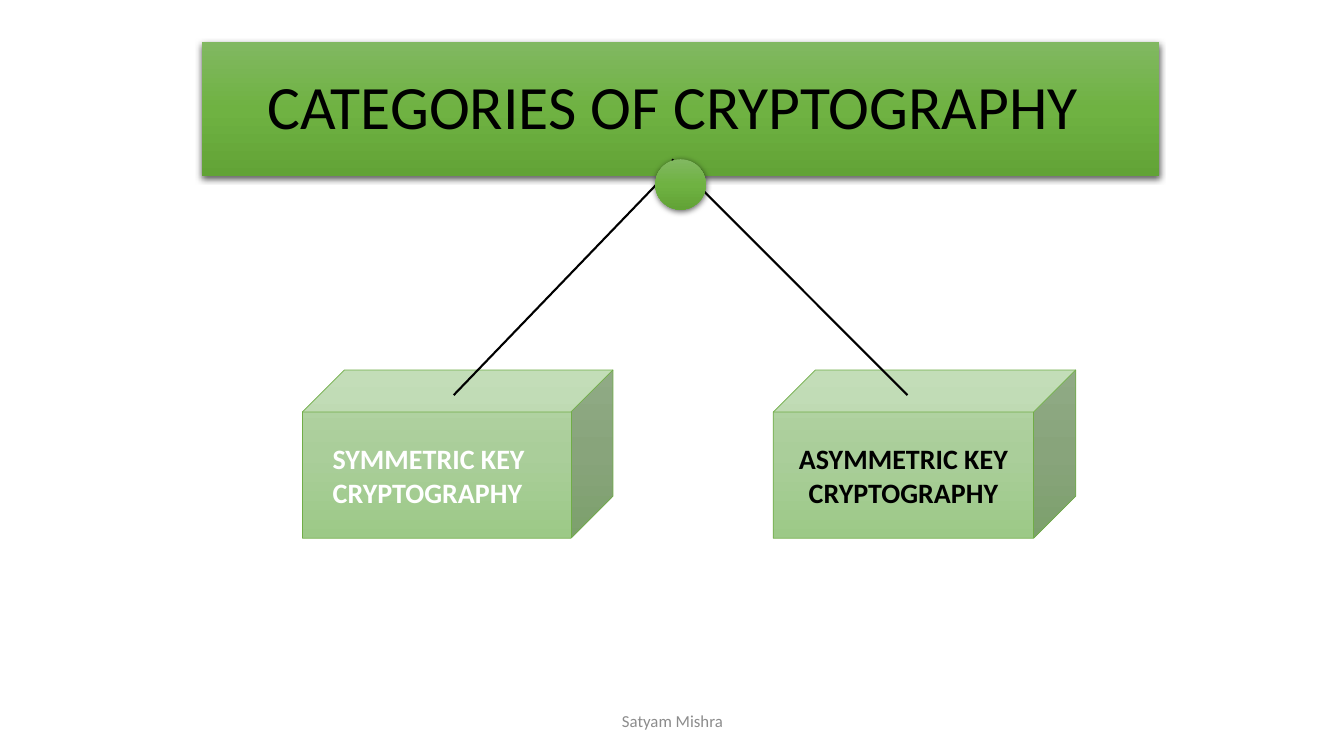
from copy import deepcopy
from lxml import etree
from pptx import Presentation
from pptx import util as u
from pptx.dml.color import RGBColor
from pptx.enum import shapes, text
from pptx.oxml import ns

WIDE, HIGH = 13.33, 7.5
BLACK = RGBColor(0, 0, 0)
WHITE = RGBColor(255, 255, 255)
GRAY = RGBColor(0x8C, 0x8C, 0x8C)
GREEN = RGBColor(0x70, 0xAD, 0x47)
DEEP = [RGBColor.from_string(c) for c in ("81B861", "6FB242", "62A336")]
PALE = [RGBColor.from_string(c) for c in ("B5D5A7", "AACE9A", "9CC987")]


def place(shape, box):
    """Move a shape to a box given in inches."""
    shape.left, shape.top, shape.width, shape.height = map(u.Inches, box)


def write(shape, words, size, color, bold=False, align=None, inset=0.1):
    """Put one formatted paragraph in a shape."""
    frame = shape.text_frame
    frame.text = words
    frame.word_wrap = True
    frame.auto_size = text.MSO_AUTO_SIZE.NONE
    frame.vertical_anchor = text.MSO_ANCHOR.MIDDLE
    frame.margin_left = u.Inches(inset)
    para = frame.paragraphs[0]
    para.alignment = align or text.PP_ALIGN.LEFT
    font = para.runs[0].font
    font.name, font.size, font.bold = "Calibri", u.Pt(size), bold
    font.color.rgb = color
    return para


def shade(shape, colors):
    """Fill a shape with three colours from top to bottom."""
    shape.fill.gradient()
    shape.fill.gradient_angle = 270
    stops = shape._element.spPr.xpath(".//a:gsLst")[0]
    stops.insert(1, deepcopy(stops[0]))
    for i, (stop, color) in enumerate(zip(shape.fill.gradient_stops, colors)):
        stop.position = i / 2
        stop.color.rgb = color


def drop(shape):
    """Give a shape a soft shadow below and no outline."""
    shape.line.fill.background()
    shape.shadow.inherit = False
    effect = shape._element.spPr.find(ns.qn("a:effectLst"))
    shadow = etree.SubElement(effect, ns.qn("a:outerShdw"), blurRad="57150",
                              dist="19050", dir="5400000", algn="ctr", rotWithShape="0")
    color = etree.SubElement(shadow, ns.qn("a:srgbClr"), val="000000")
    etree.SubElement(color, ns.qn("a:alpha"), val="63000")


def banner(slide, box):
    """Format the title as a green banner."""
    title = slide.shapes.title
    place(title, box)
    shade(title, DEEP)
    drop(title)
    para = write(title, "CATEGORIES OF CRYPTOGRAPHY", 44, BLACK, inset=0.65)
    para.line_spacing = 0.9


def cube(slide, box):
    """Draw one pale green cube."""
    shape = slide.shapes.add_shape(shapes.MSO_SHAPE.CUBE, *map(u.Inches, box))
    shade(shape, PALE)
    shape.line.color.rgb = GREEN
    shape.line.width = u.Pt(0.5)
    shape.shadow.inherit = False
    return shape


def branch(slide, start, end):
    """Draw a black line between two points."""
    line = slide.shapes.add_connector(
        shapes.MSO_CONNECTOR.STRAIGHT, *map(u.Inches, start + end))
    line.line.color.rgb = BLACK
    line.line.width = u.Pt(1.5)
    etree.SubElement(line._element.spPr, ns.qn("a:effectLst"))


def hub(slide, box):
    """Draw the round joint where the branches meet."""
    dot = slide.shapes.add_shape(
        shapes.MSO_SHAPE.FLOWCHART_CONNECTOR, *map(u.Inches, box))
    shade(dot, DEEP)
    drop(dot)


def label(slide, box, words, size, color, **style):
    """Add a text box with one paragraph."""
    write(slide.shapes.add_textbox(*map(u.Inches, box)), words, size, color, **style)


def tree(slide, box):
    """Draw the two cubes and the branches that lead to them."""
    left, top, width, height = box
    base = top + height
    tall, tip = 1.67, top + 2.34
    cube(slide, (left, base - tall, 3.08, tall))
    right = cube(slide, (left + width - 3, base - tall, 3, tall))
    write(right, "ASYMMETRIC KEY CRYPTOGRAPHY", 20, BLACK, True, text.PP_ALIGN.CENTER)
    branch(slide, (WIDE / 2, top + 0.09), (left + 1.5, tip))
    branch(slide, (WIDE / 2, top), (left + 6, tip))
    hub(slide, (left + 3.5, top, 0.5, 0.5))
    label(slide, (left + 0.08, base - 1.01, 2.5, 0.77),
          "SYMMETRIC KEY CRYPTOGRAPHY", 20, WHITE, bold=True, inset=0.22)


def main():
    """Build the slide and save it."""
    deck = Presentation()
    deck.slide_width, deck.slide_height = u.Inches(WIDE), u.Inches(HIGH)
    slide = deck.slides.add_slide(deck.slide_layouts[5])
    banner(slide, (2, 0.42, 9.5, 1.33))
    tree(slide, (3, 1.58, 7.67, 3.76))
    label(slide, (4.42, 6.95, 4.5, 0.4), "Satyam Mishra", 12, GRAY,
          align=text.PP_ALIGN.CENTER)
    deck.save("out.pptx")


if __name__ == "__main__":
    main()
